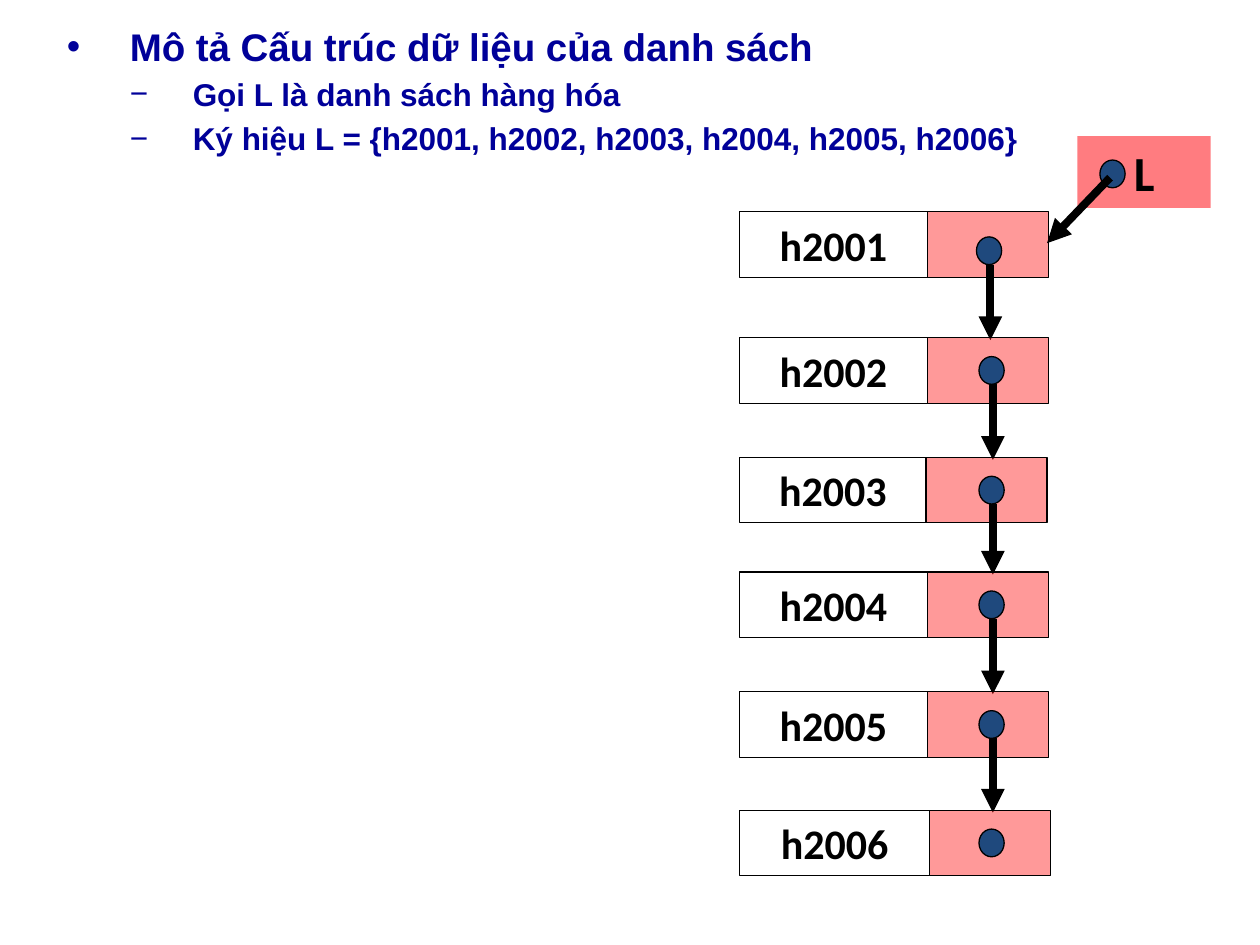
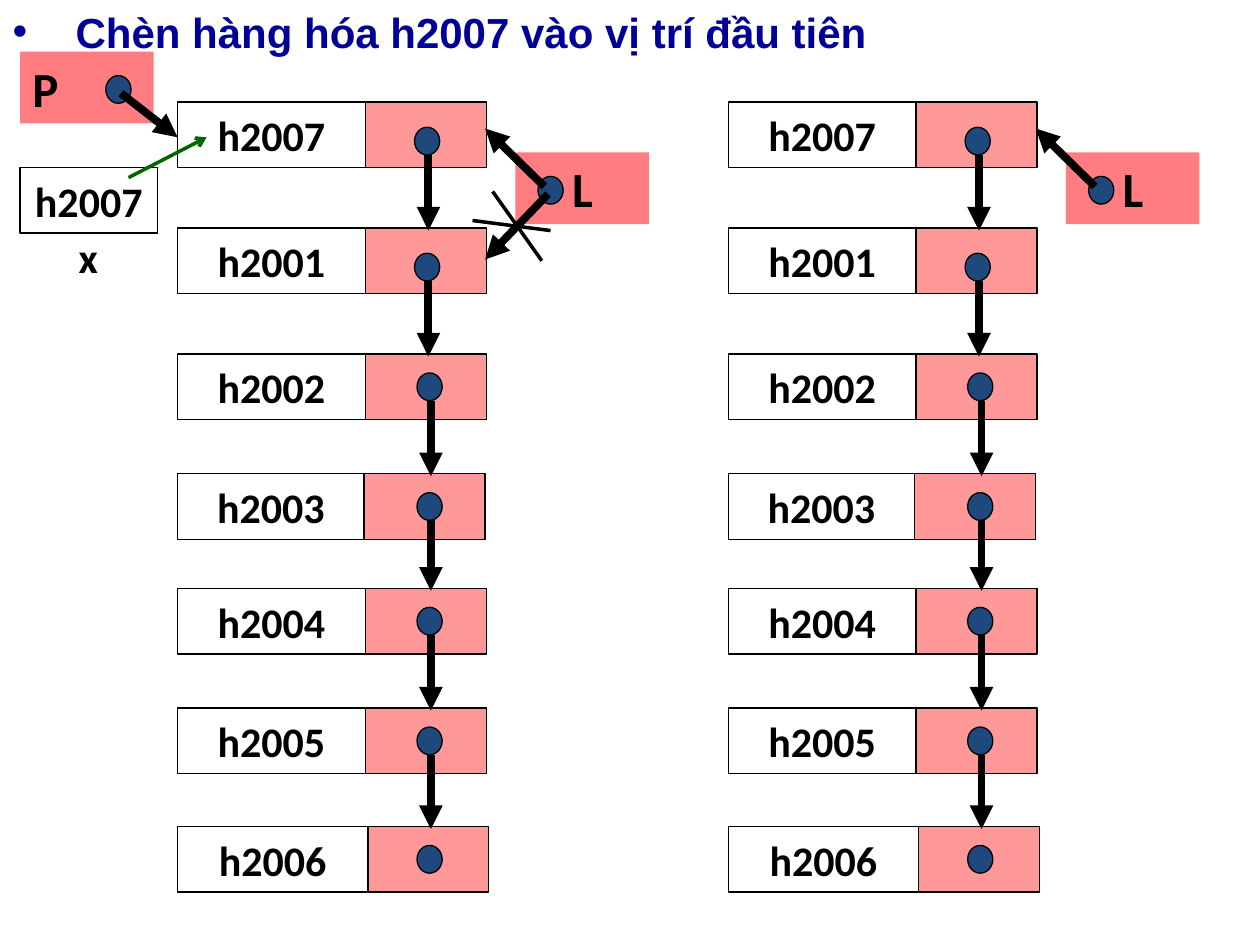
from lxml import etree
from pptx import Presentation
from pptx.dml.color import RGBColor
from pptx.enum.shapes import MSO_CONNECTOR, MSO_SHAPE
from pptx.enum.text import MSO_ANCHOR, MSO_AUTO_SIZE, PP_ALIGN
from pptx.oxml.ns import qn
from pptx.util import Inches, Pt

RECT, OVAL = MSO_SHAPE.RECTANGLE, MSO_SHAPE.OVAL
STRAIGHT = MSO_CONNECTOR.STRAIGHT
LEFT, CENTER, JUSTIFY = PP_ALIGN.LEFT, PP_ALIGN.CENTER, PP_ALIGN.JUSTIFY
TOP, MIDDLE = MSO_ANCHOR.TOP, MSO_ANCHOR.MIDDLE
NO_FIT = MSO_AUTO_SIZE.NONE

NAVY = RGBColor(0x00, 0x00, 0x99)
BLACK = RGBColor(0x00, 0x00, 0x00)
WHITE = RGBColor(0xFF, 0xFF, 0xFF)
RED = RGBColor(0xFF, 0x00, 0x00)
PINK = RGBColor(0xFF, 0x7C, 0x80)
BLUE = RGBColor(0x1F, 0x49, 0x7D)
GREEN = RGBColor(0x00, 0x66, 0x00)

HEADING = {"name": "Arial", "bold": True}
LABEL = {"name": "Calibri", "bold": True, "size": Pt(24)}
POINTER_LABEL = {**LABEL, "size": Pt(28)}

DOT_W, DOT_H = 0.2, 0.22
NODE_H, LINK_W = 0.52, 0.96

# name: (top relative to h2001, data cell width, dot top within the node)
NODES = {
    "h2007": (-1.0, 1.49, 0.2),
    "h2001": (0, 1.49, 0.2),
    "h2002": (1.0, 1.49, 0.15),
    "h2003": (1.95, 1.48, 0.15),
    "h2004": (2.86, 1.49, 0.15),
    "h2005": (3.81, 1.49, 0.15),
    "h2006": (4.75, 1.51, 0.15),
}
ALL_NODES = list(NODES)

# Pointer arrows as (x1, y1, x2, y2) relative to the pointer box
TO_OLD_HEAD = (0.26, 0.33, -0.24, 0.85)
TO_NEW_HEAD = (0.23, 0.27, -0.24, -0.19)
TO_NEW_NODE = (0.8, 0.33, 1.25, 0.68)


def write(p, text, color, font):
    """Add one formatted run to a paragraph."""
    r = p.add_run()
    r.text = text
    r.font.color.rgb = color
    for name, value in font.items():
        setattr(r.font, name, value)


def add_box(s, kind, x, y, w, h, fill, alpha=None, outline=True):
    """Add a filled preset shape, optionally see-through or outlined."""
    sp = s.shapes.add_shape(kind, Inches(x), Inches(y), Inches(w), Inches(h))
    sp.shadow.inherit = False
    sp.fill.solid()
    sp.fill.fore_color.rgb = fill
    if alpha is not None:
        color = sp.fill._xPr.find(f"{qn('a:solidFill')}/{qn('a:srgbClr')}")
        etree.SubElement(color, qn("a:alpha"), val=str(alpha * 1000))
    if outline:
        sp.line.color.rgb = BLACK
        sp.line.width = Pt(0.75)
    else:
        sp.line.fill.background()
    return sp


def add_label(sp, text, font=LABEL, align=CENTER, margin=0.1):
    """Write a single vertically centred line into a shape."""
    tf = sp.text_frame
    tf.word_wrap = False
    tf.vertical_anchor = MIDDLE
    tf.margin_left = Inches(margin)
    p = tf.paragraphs[0]
    p.alignment = align
    write(p, text, BLACK, font)


def add_line(s, x1, y1, x2, y2, color=BLACK, width=4.5, head="triangle"):
    """Draw a straight line with an optional arrowhead at its end."""
    c = s.shapes.add_connector(STRAIGHT, Inches(x1), Inches(y1), Inches(x2), Inches(y2))
    c.line.color.rgb = color
    c.line.width = Pt(width)
    if head:
        etree.SubElement(c.line._get_or_add_ln(), qn("a:tailEnd"), type=head)
    etree.SubElement(c._element.spPr, qn("a:effectLst"))


def add_dot(s, x, y):
    """Draw the dot that stands for a stored address."""
    add_box(s, OVAL, x, y, DOT_W, DOT_H, BLUE)


def add_data_cell(s, x, y, w, text):
    """Draw the white cell holding an item's code."""
    add_label(add_box(s, RECT, x, y, w, NODE_H, WHITE, 38), text)


def add_chain(s, x, y, names):
    """Draw linked nodes; x, y is the top left of node h2001."""
    for i, name in enumerate(names):
        dy, data_w, dot_dy = NODES[name]
        top = y + dy
        dot_x = x + (1.88 if dot_dy == 0.2 else 1.9)
        add_data_cell(s, x, top, data_w, name)
        add_box(s, RECT, x + data_w, top, LINK_W, NODE_H, RED, 40)
        add_dot(s, dot_x, top + dot_dy)
        if i + 1 < len(names):
            next_top = y + NODES[names[i + 1]][0]
            add_line(s, dot_x + 0.11, top + dot_dy + DOT_H, dot_x + 0.11, next_top + 0.02)


def add_pointer(s, x, y, text, margin, dot_dx, arrows):
    """Draw a named pointer box with its dot and outgoing arrows."""
    sp = add_box(s, RECT, x, y, 1.06, 0.57, PINK, outline=False)
    add_label(sp, text, POINTER_LABEL, LEFT, margin)
    add_dot(s, x + dot_dx, y + 0.19)
    for x1, y1, x2, y2 in arrows:
        add_line(s, x + x1, y + y1, x + x2, y + y2)


def add_list(s, x, y, chain_names, arrows):
    """Draw a whole list: its nodes and the pointer L to its head."""
    add_chain(s, x, y, chain_names)
    add_pointer(s, x + 2.68, y - 0.6, "L", 0.45, 0.18, arrows)


def add_slide(prs, x, y, w, h, items):
    """Add a slide with a bulleted list of (level, text, size, space before)."""
    s = prs.slides.add_slide(prs.slide_layouts[0])
    title = s.shapes.title._element
    title.getparent().remove(title)
    sp = s.placeholders[1]
    sp.left, sp.top, sp.width, sp.height = map(Inches, (x, y, w, h))
    tf = sp.text_frame
    tf.word_wrap = True
    tf.auto_size = NO_FIT
    tf.vertical_anchor = TOP
    for i, (level, text, size, before) in enumerate(items):
        p = tf.add_paragraph() if i else tf.paragraphs[0]
        p.level = level
        p.alignment = JUSTIFY
        p.space_before = Pt(before)
        pPr = p._p.get_or_add_pPr()
        pPr.set("marL", str(Inches(0.5 * (level + 1))))
        pPr.set("indent", str(Inches(-0.5)))
        etree.SubElement(pPr, qn("a:buFont"), typeface="Arial")
        etree.SubElement(pPr, qn("a:buChar"), char="•−"[level])
        write(p, text, NAVY, {**HEADING, "size": Pt(size)})
    return s


def structure_slide(prs):
    """Slide describing the list's data structure."""
    s = add_slide(prs, 0.43, 0.13, 9.21, 1.2, [
        (0, "Mô tả Cấu trúc dữ liệu của danh sách", 22, 4.4),
        (1, "Gọi L là danh sách hàng hóa", 18, 3.6),
        (1, "Ký hiệu L = {h2001, h2002, h2003, h2004, h2005, h2006}", 18, 3.6),
    ])
    add_list(s, 5.87, 1.68, ALL_NODES[1:], [TO_OLD_HEAD])


def insert_slide(prs):
    """Slide inserting h2007 at the head: during (left) and after (right)."""
    s = add_slide(prs, 0, 0, 9.21, 0.63, [
        (0, "Chèn hàng hóa h2007 vào vị trí đầu tiên", 24, 12),
    ])
    add_list(s, 1.41, 1.81, ALL_NODES, [TO_OLD_HEAD, TO_NEW_HEAD])
    add_list(s, 5.78, 1.81, ALL_NODES, [TO_NEW_HEAD])
    add_pointer(s, 0.16, 0.41, "P", 0.1, 0.68, [TO_NEW_NODE])

    # Cross out the link to the old head
    for ends in ((3.91, 1.52, 4.3, 2.07), (3.75, 1.75, 4.37, 1.83)):
        add_line(s, *ends, width=2, head=None)

    # New item x and its copy into the node
    add_data_cell(s, 0.16, 1.33, 1.09, "h2007")
    tb = s.shapes.add_textbox(Inches(0.31), Inches(1.8), Inches(0.78), Inches(0.47))
    add_label(tb, "x")
    add_line(s, 1.02, 1.41, 1.64, 1.09, GREEN, 2, "arrow")


prs = Presentation()
prs.slide_width, prs.slide_height = Inches(10), Inches(7.5)
structure_slide(prs)
insert_slide(prs)
prs.save("out.pptx")
